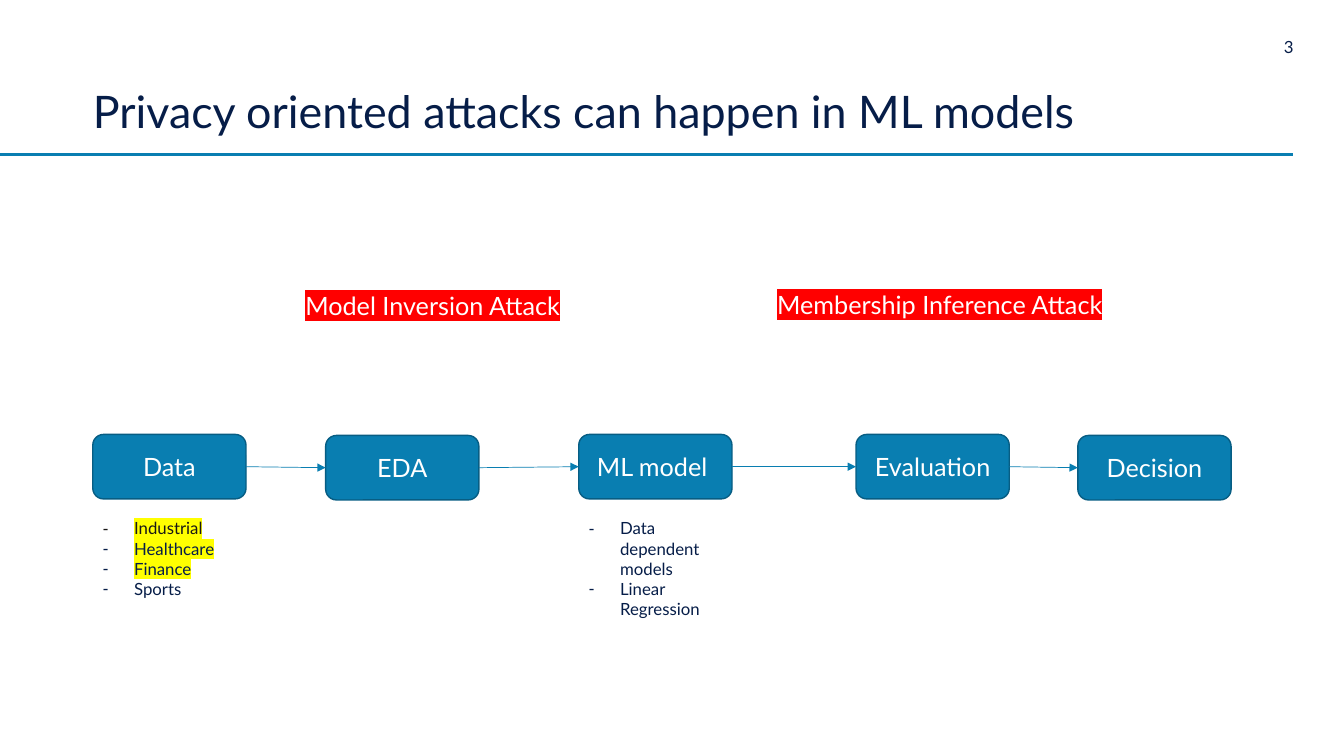
from lxml import etree
from pptx import Presentation
from pptx.dml.color import RGBColor
from pptx.enum.shapes import MSO_CONNECTOR, MSO_SHAPE
from pptx.enum.text import MSO_ANCHOR, MSO_AUTO_SIZE, PP_ALIGN
from pptx.oxml.ns import qn
from pptx.util import Inches, Pt

STRAIGHT = MSO_CONNECTOR.STRAIGHT
ROUNDED = MSO_SHAPE.ROUNDED_RECTANGLE
BOTTOM, MIDDLE, TOP = MSO_ANCHOR.BOTTOM, MSO_ANCHOR.MIDDLE, MSO_ANCHOR.TOP
NO_FIT = MSO_AUTO_SIZE.NONE
LEFT, CENTER, RIGHT = PP_ALIGN.LEFT, PP_ALIGN.CENTER, PP_ALIGN.RIGHT

FONT = "Lato"
NAVY = RGBColor(0x06, 0x1D, 0x48)
BLACK = RGBColor(0x18, 0x17, 0x17)
BLUE = RGBColor(0x09, 0x7E, 0xB1)
DARK_BLUE = RGBColor(0x07, 0x5D, 0x83)
WHITE = RGBColor(0xFF, 0xFF, 0xFF)
RED = RGBColor(0xFF, 0x00, 0x00)
YELLOW = RGBColor(0xFF, 0xFF, 0x00)

STEP_WIDTH, STEP_HEIGHT = 1.52, 0.64
RIGHT_SITE, LEFT_SITE = 3, 1


def place(shape, left, top, width, height):
    shape.left, shape.top = Inches(left), Inches(top)
    shape.width, shape.height = Inches(width), Inches(height)


def set_frame(frame, anchor, margin=None):
    frame.word_wrap = True
    frame.auto_size = NO_FIT
    frame.vertical_anchor = anchor
    if margin is not None:
        frame.margin_left = frame.margin_right = Inches(margin)
        frame.margin_top = frame.margin_bottom = Inches(margin)


def style(paragraph, size, color, align=LEFT):
    paragraph.alignment = align
    paragraph.font.name = FONT
    paragraph.font.size = Pt(size)
    paragraph.font.color.rgb = color


def highlight(paragraph, color):
    properties = paragraph.runs[0].font._element
    mark = etree.SubElement(properties, qn("a:highlight"))
    etree.SubElement(mark, qn("a:srgbClr"), val=str(color))


def add_line(slide, start, end, width):
    line = slide.shapes.add_connector(STRAIGHT, *map(Inches, start + end))
    line.line.color.rgb = BLUE
    line.line.width = Pt(width)
    etree.SubElement(line._element.spPr, qn("a:effectLst"))
    return line


def add_text(slide, text, box, size, color, align=LEFT, margin=None):
    label = slide.shapes.add_textbox(*map(Inches, box))
    set_frame(label.text_frame, TOP, margin)
    paragraph = label.text_frame.paragraphs[0]
    paragraph.text = text
    style(paragraph, size, color, align)
    return paragraph


def add_header(slide, left, top, width, height):
    title = slide.shapes.title
    place(title, left, top, width, height)
    set_frame(title.text_frame, BOTTOM, 0)
    heading = title.text_frame.paragraphs[0]
    heading.text = "Privacy oriented attacks can happen in ML models"
    heading.line_spacing = 0.9
    style(heading, 32, NAVY)
    rule_top = top + height + 0.16
    add_line(slide, (0, rule_top), (12.82, rule_top), 2.25)
    add_text(slide, "3", (12.42, top + 0.02, 0.41, 0.2), 12, NAVY, RIGHT, 0)


def add_step(slide, name, left, top):
    step = slide.shapes.add_shape(
        ROUNDED, *map(Inches, (left, top, STEP_WIDTH, STEP_HEIGHT)))
    step.shadow.inherit = False
    step.fill.solid()
    step.fill.fore_color.rgb = BLUE
    step.line.color.rgb = DARK_BLUE
    step.line.width = Pt(1)
    set_frame(step.text_frame, MIDDLE)
    label = step.text_frame.paragraphs[0]
    label.text = name
    style(label, 18, WHITE, CENTER)
    return step


def add_pipeline(slide, left, top):
    stages = [("Data", 0, 0), ("EDA", 2.31, 0.01), ("ML model ", 4.82, 0),
              ("Evaluation", 7.57, 0), ("Decision", 9.77, 0.01)]
    steps = [add_step(slide, name, left + dx, top + dy)
             for name, dx, dy in stages]
    for before, after in zip(steps, steps[1:]):
        arrow = add_line(slide, (0, 0), (1, 1), 0.5)
        arrow.begin_connect(before, RIGHT_SITE)
        arrow.end_connect(after, LEFT_SITE)
        etree.SubElement(arrow.line._get_or_add_ln(), qn("a:tailEnd"), type="triangle")


def add_examples(placeholder, items, left, top, height):
    place(placeholder, left, top, STEP_WIDTH, height)
    frame = placeholder.text_frame
    set_frame(frame, TOP)
    frame.text = "\n".join(name for name, _, _ in items)
    for paragraph, (_, color, mark) in zip(frame.paragraphs, items):
        paragraph.space_before = Pt(0)
        properties = paragraph._p.get_or_add_pPr()
        properties.set("marL", str(Inches(0.31)))
        properties.set("indent", str(Inches(-0.31)))
        etree.SubElement(properties, qn("a:buChar"), char="-")
        style(paragraph, 12, color)
        if mark:
            highlight(paragraph, mark)


def add_attack(slide, name, left, top, width):
    highlight(add_text(slide, name, (left, top, width, 0.4), 18, WHITE), RED)


def main():
    deck = Presentation()
    deck.slide_width, deck.slide_height = Inches(13.33), Inches(7.5)
    slide = deck.slides.add_slide(deck.slide_layouts.get_by_name("Two Content"))
    data_list, model_list = list(slide.placeholders)[1:]
    add_header(slide, 0.92, 0.34, 10.28, 1.03)
    add_pipeline(slide, 0.92, 4.31)
    add_examples(data_list, [("Industrial", BLACK, YELLOW), ("Healthcare", NAVY, YELLOW),
                             ("Finance", NAVY, YELLOW), ("Sports", NAVY, None)],
                 0.92, 5.09, 1.11)
    add_examples(model_list, [("Data dependent models", NAVY, None),
                              ("Linear Regression", NAVY, None)],
                 5.74, 5.09, 1.31)
    add_attack(slide, "Membership Inference Attack", 7.61, 2.82, 3.71)
    add_attack(slide, "Model Inversion Attack", 2.93, 2.83, 3.01)
    deck.save("out.pptx")


if __name__ == "__main__":
    main()
